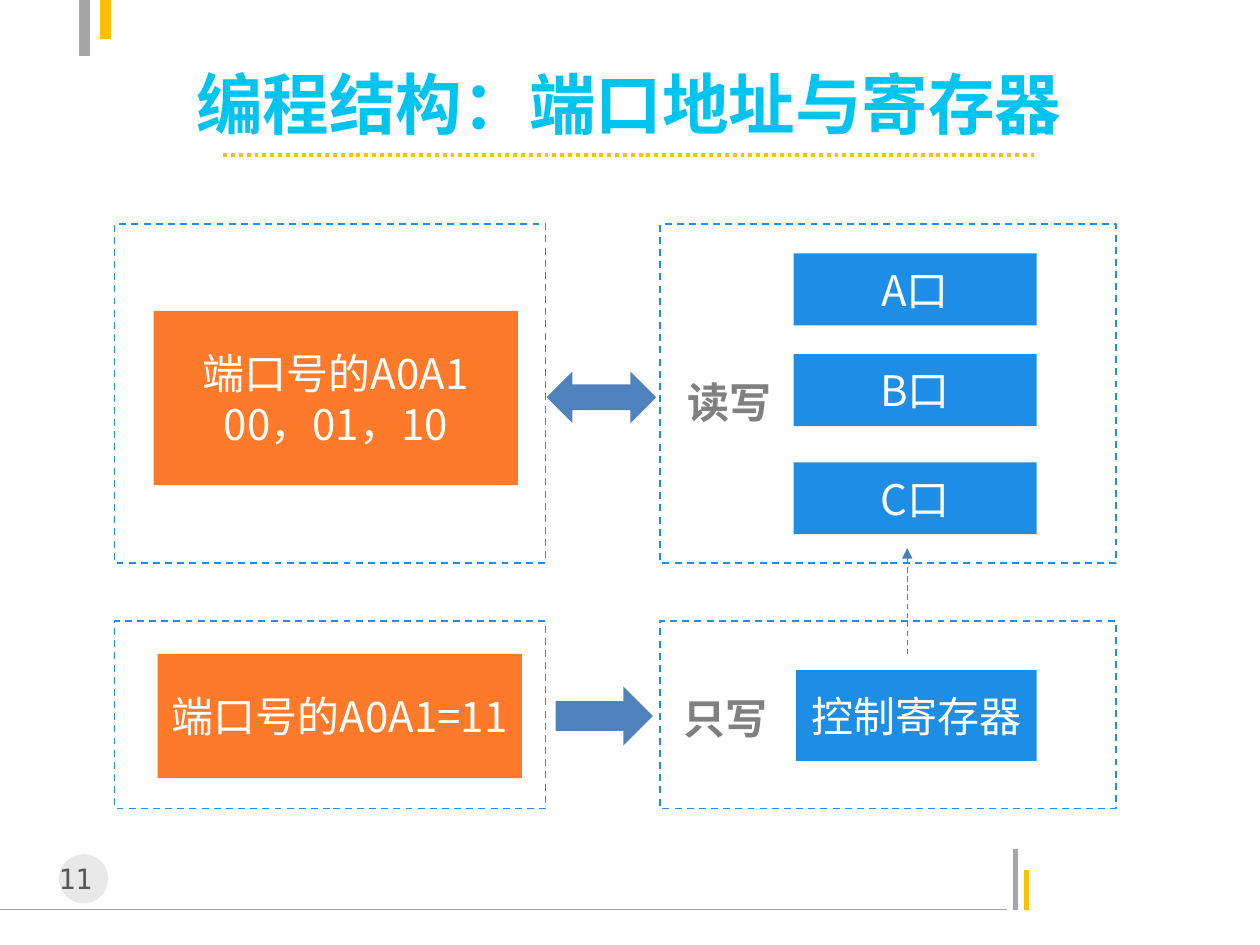
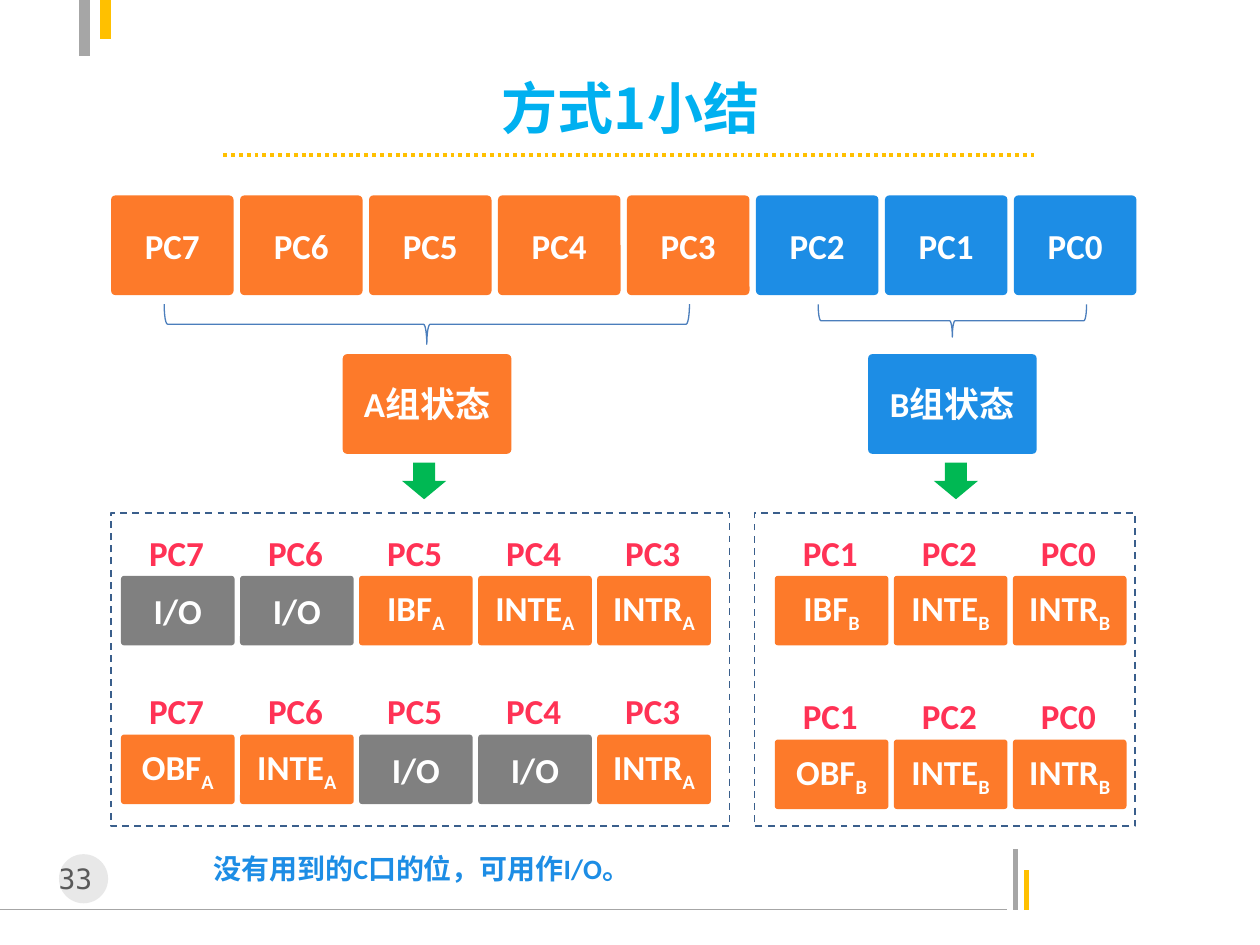
from dataclasses import dataclass
from typing import NamedTuple, Optional

from lxml import etree
from pptx import Presentation
from pptx.dml.color import RGBColor
from pptx.enum import dml, shapes, text
from pptx.oxml.ns import qn
from pptx import util as u

ORANGE = RGBColor(0xFD, 0x7A, 0x2A)
BLUE = RGBColor(0x1D, 0x8D, 0xE5)
ARROW_BLUE = RGBColor(0x4F, 0x81, 0xBD)
LINE_BLUE = RGBColor(0x4B, 0x7E, 0xBC)
NAVY = RGBColor(0x3A, 0x5F, 0x8C)
CYAN = RGBColor(0x00, 0xC4, 0xF0)
SKY = RGBColor(0x00, 0xB0, 0xF0)
GREEN = RGBColor(0x00, 0xB8, 0x53)
PINK = RGBColor(0xFF, 0x32, 0x55)
YELLOW = RGBColor(0xFF, 0xC0, 0x00)
WHITE = RGBColor(0xFF, 0xFF, 0xFF)
GREY = RGBColor(0x80, 0x80, 0x80)
LIGHT_GREY = RGBColor(0xA6, 0xA6, 0xA6)
DISC_GREY = RGBColor(0xBF, 0xBF, 0xBF)
DARK_GREY = RGBColor(0x59, 0x59, 0x59)

CJK = "Noto Sans CJK SC"
LATIN = "Calibri"
MONO = "DejaVu Sans Mono"

KIND = shapes.MSO_SHAPE
DASH = dml.MSO_LINE.DASH
DOT = dml.MSO_LINE.ROUND_DOT
CENTER = text.PP_ALIGN.CENTER
LEFT = text.PP_ALIGN.LEFT
MIDDLE = text.MSO_ANCHOR.MIDDLE
TOP = text.MSO_ANCHOR.TOP


class Box(NamedTuple):
    """Left, top, width and height in centimetres."""
    x: float
    y: float
    w: float
    h: float


class Style(NamedTuple):
    size: float
    color: RGBColor
    font: str = CJK
    bold: bool = False


class Line(NamedTuple):
    x1: float
    y1: float
    x2: float
    y2: float
    color: RGBColor
    width: float
    dash: Optional[dml.MSO_LINE] = None


@dataclass
class BitGroup:
    """A group of port C bits: its state box, brace and two rows of cells."""
    name: str
    color: RGBColor
    state_x: float
    brace: Box
    arrow_x: float
    frame: Box
    cell_x: float
    bits: list[str]
    rows: dict[float, list[str]]


BLOCK = Style(24, WHITE)
ACCESS = Style(24, GREY, bold=True)
CELL = Style(20, WHITE, LATIN, True)
BIT = Style(20, PINK, LATIN, True)
NOTE = Style(16, BLUE, LATIN, True)
PAGE = Style(16, DARK_GREY, MONO)

DECORATION = [
    Line(0, 18.34, 20.29, 18.34, LIGHT_GREY, 0.75),
    Line(20.47, 18.34, 20.47, 17.12, LIGHT_GREY, 3),
    Line(20.7, 18.34, 20.7, 17.53, YELLOW, 3),
    Line(1.7, 1.12, 1.7, 0, LIGHT_GREY, 6),
    Line(2.13, 0, 2.13, 0.79, YELLOW, 6),
    Line(4.5, 3.12, 20.9, 3.12, YELLOW, 2.25, DOT),
]

CORNER = 0.044
CELL_W, CELL_H, CELL_PITCH = 2.29, 1.4, 2.4
BIT_W, BIT_DX, BIT_DY = 1.68, 0.28, 1.18

GROUPS = [
    BitGroup("A", ORANGE, 6.91, Box(8.2, 1.24, 0.81, 10.59), 8.18,
             Box(2.24, 10.34, 12.47, 6.32), 2.44,
             ["PC7", "PC6", "PC5", "PC4", "PC3"],
             {11.61: ["I/O", "I/O", "IBF_A", "INTE_A", "INTR_A"],
              14.81: ["OBF_A", "INTE_A", "I/O", "I/O", "INTR_A"]}),
    BitGroup("B", BLUE, 17.5, Box(18.87, 3.76, 0.66, 5.41), 18.9,
             Box(15.21, 10.34, 7.67, 6.32), 15.62,
             ["PC1", "PC2", "PC0"],
             {11.61: ["IBF_B", "INTE_B", "INTR_B"],
              14.91: ["OBF_B", "INTE_B", "INTR_B"]}),
]


def place(box: Box) -> list[u.Cm]:
    return [u.Cm(v) for v in box]


def add_run(p, content: str, style: Style, subscript: bool = False) -> None:
    r = p.add_run()
    r.text = content
    r.font.size = u.Pt(style.size)
    r.font.bold = style.bold
    r.font.color.rgb = style.color
    r.font.name = style.font
    r_pr = r._r.get_or_add_rPr()
    etree.SubElement(r_pr, qn("a:ea"), typeface=CJK)
    if subscript:
        r_pr.set("baseline", "-25000")


def write(tf, content: str, style: Style, align=CENTER, anchor=MIDDLE,
          spacing: Optional[float] = None, wrap: bool = True) -> None:
    """Fill a text frame; newlines part paragraphs, "_" starts a subscript."""
    tf.word_wrap = wrap
    tf.vertical_anchor = anchor
    for i, row in enumerate(content.split("\n")):
        p = tf.add_paragraph() if i else tf.paragraphs[0]
        p.alignment = align
        if spacing:
            p.line_spacing = spacing
        base, _, sub = row.partition("_")
        add_run(p, base, style)
        if sub:
            add_run(p, sub, style, subscript=True)


def add_text(s, box: Box, content: str, style: Style, **options) -> None:
    write(s.shapes.add_textbox(*place(box)).text_frame, content, style, **options)


def add_shape(s, kind: KIND, box: Box, fill: Optional[RGBColor] = None,
              line: Optional[RGBColor] = None, width: float = 1,
              dash: Optional[dml.MSO_LINE] = None, rotation: float = 0):
    sp = s.shapes.add_shape(kind, *place(box))
    sp.shadow.inherit = False
    sp.rotation = rotation
    if fill is None:
        sp.fill.background()
    else:
        sp.fill.solid()
        sp.fill.fore_color.rgb = fill
    if line is None:
        sp.line.fill.background()
    else:
        sp.line.color.rgb = line
        sp.line.width = u.Pt(width)
        if dash:
            sp.line.dash_style = dash
    return sp


def add_block(s, box: Box, content: str, fill: RGBColor) -> None:
    write(add_shape(s, KIND.RECTANGLE, box, fill).text_frame, content, BLOCK)


def add_cell(s, box: Box, content: str, fill: Optional[RGBColor] = None,
             style: Style = CELL) -> None:
    sp = add_shape(s, KIND.ROUNDED_RECTANGLE, box, fill)
    sp.adjustments[0] = CORNER
    write(sp.text_frame, content, style)


def add_frame(s, box: Box, color: RGBColor) -> None:
    add_shape(s, KIND.RECTANGLE, box, line=color, dash=DASH)


def add_line(s, line: Line, arrow: bool = False) -> None:
    ends = [u.Cm(v) for v in line[:4]]
    cx = s.shapes.add_connector(shapes.MSO_CONNECTOR.STRAIGHT, *ends)
    cx.line.color.rgb = line.color
    cx.line.width = u.Pt(line.width)
    if line.dash:
        cx.line.dash_style = line.dash
    if arrow:
        etree.SubElement(cx.line._get_or_add_ln(), qn("a:tailEnd"), type="triangle")
    etree.SubElement(cx._element.spPr, qn("a:effectLst"))


def add_base(prs, title: str, title_box: Box, title_style: Style,
             title_align, page: int):
    """Add a slide with the shared lines, page number and title."""
    s = prs.slides.add_slide(prs.slide_layouts[6])
    for line in DECORATION:
        add_line(s, line)
    disc = add_shape(s, KIND.OVAL, Box(1.19, 17.22, 0.99, 0.99), DISC_GREY)
    color = disc._element.spPr.find(qn("a:solidFill"))[0]
    etree.SubElement(color, qn("a:alpha"), val="35000")
    add_text(s, Box(0.79, 17.25, 1.8, 0.94), f"{page} ", PAGE, anchor=TOP)
    add_text(s, title_box, title, title_style, align=title_align, wrap=False)
    return s


def build_port_slide(prs) -> None:
    s = add_base(prs, "编程结构：端口地址与寄存器", Box(3.71, 1.3, 19.2, 1.55),
                 Style(38, CYAN, bold=True), LEFT, 11)
    for y, h in ((4.52, 6.83), (12.52, 3.78)):
        for x, w in ((2.31, 8.69), (13.31, 9.19)):
            add_frame(s, Box(x, y, w, h), BLUE)

    add_block(s, Box(3.1, 6.27, 7.34, 3.51), "端口号的A0A1\n00，01，10", ORANGE)
    add_block(s, Box(3.18, 13.18, 7.34, 2.51), "端口号的A0A1=11", ORANGE)
    for port, y in (("A口", 5.11), ("B口", 7.14), ("C口", 9.32)):
        add_block(s, Box(16, y, 4.9, 1.45), port, BLUE)
    add_block(s, Box(16.05, 13.51, 4.85, 1.83), "控制寄存器", BLUE)

    add_shape(s, KIND.LEFT_RIGHT_ARROW, Box(11.02, 7.49, 2.21, 1.04), ARROW_BLUE)
    add_shape(s, KIND.RIGHT_ARROW, Box(11.2, 13.84, 1.96, 1.19), ARROW_BLUE)
    for access, x, y in (("读写", 13.39, 7.14), ("只写", 13.31, 13.51)):
        add_text(s, Box(x, y, 2.62, 1.47), access, ACCESS, anchor=TOP, spacing=1.33)
    add_line(s, Line(18.29, 13.18, 18.29, 11.05, LINE_BLUE, 0.75, DASH), arrow=True)


def add_group(s, group: BitGroup) -> None:
    add_shape(s, KIND.LEFT_BRACE, group.brace, line=LINE_BLUE, width=0.75,
              rotation=270)
    add_cell(s, Box(group.state_x, 7.14, 3.4, 2.01), f"{group.name}组状态", group.color)
    add_shape(s, KIND.RIGHT_ARROW, Box(group.arrow_x, 9.25, 0.74, 0.89), GREEN,
              rotation=90)
    add_frame(s, group.frame, NAVY)
    for y, signals in group.rows.items():
        for i, (bit, signal) in enumerate(zip(group.bits, signals)):
            x = group.cell_x + i * CELL_PITCH
            fill = GREY if signal == "I/O" else ORANGE
            add_cell(s, Box(x, y, CELL_W, CELL_H), signal, fill)
            add_cell(s, Box(x + BIT_DX, y - BIT_DY, BIT_W, CELL_H), bit, style=BIT)


def build_mode_slide(prs) -> None:
    s = add_base(prs, "方式1小结", Box(3.5, 1.52, 18.42, 1.27),
                 Style(32, SKY, bold=True), CENTER, 33)
    for i in range(8):
        bit = 7 - i
        add_cell(s, Box(2.24 + 2.6 * i, 3.94, 2.47, 2.01), f"PC{bit}",
                 ORANGE if bit >= 3 else BLUE)
    for group in GROUPS:
        add_group(s, group)
    add_text(s, Box(4.06, 17.04, 10.59, 0.97), "没有用到的C口的位，可用作I/O。",
             NOTE, align=LEFT, anchor=TOP)


def main() -> None:
    prs = Presentation()
    prs.slide_width, prs.slide_height = u.Cm(25.4), u.Cm(19.05)
    build_port_slide(prs)
    build_mode_slide(prs)
    prs.save("out.pptx")


if __name__ == "__main__":
    main()
